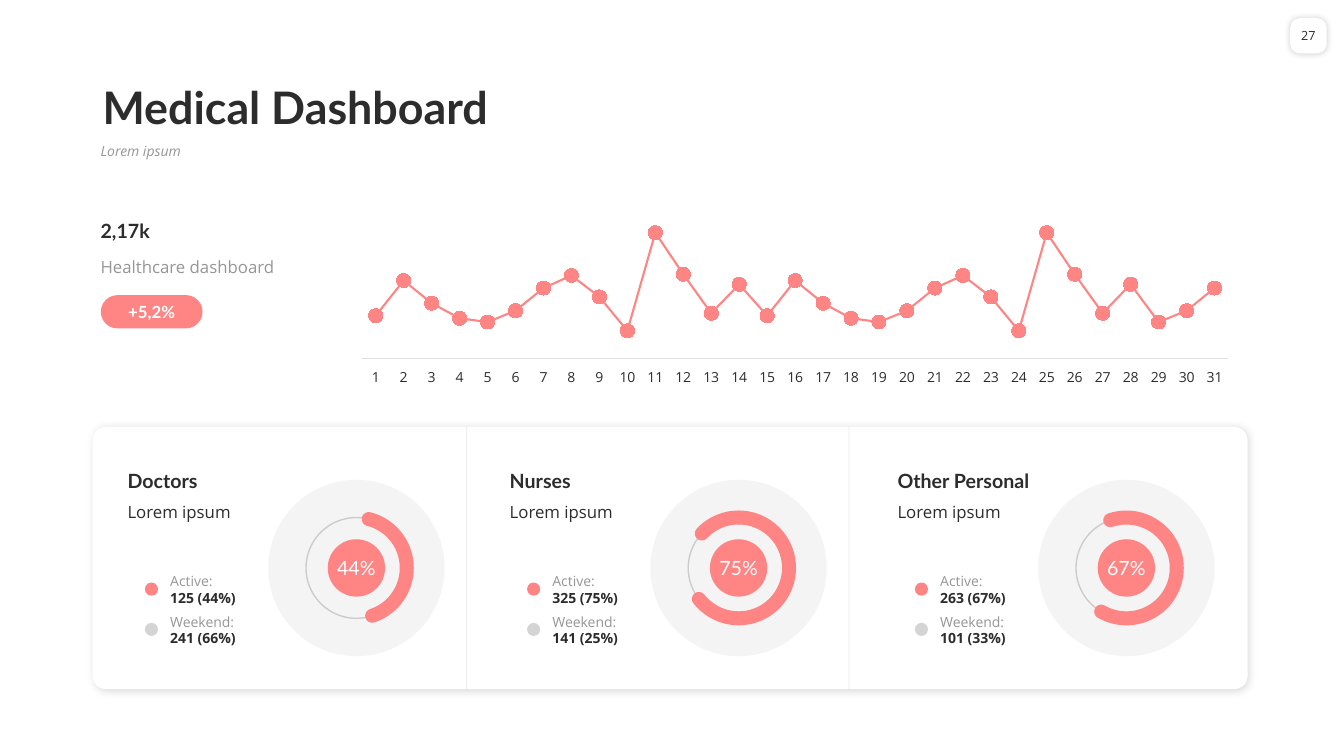
"""Build a medical dashboard slide with a line chart and three staff gauges."""
from lxml.etree import SubElement
from pptx import Presentation
from pptx.chart.data import CategoryChartData
from pptx.dml.color import RGBColor
from pptx.enum.chart import XL_CHART_TYPE, XL_MARKER_STYLE, XL_TICK_LABEL_POSITION, XL_TICK_MARK
from pptx.enum.shapes import MSO_CONNECTOR, MSO_SHAPE
from pptx.enum.text import MSO_ANCHOR, PP_ALIGN
from pptx.oxml.ns import qn
from pptx.util import Pt

ARC, OVAL, ROUND = MSO_SHAPE.ARC, MSO_SHAPE.OVAL, MSO_SHAPE.ROUNDED_RECTANGLE
STRAIGHT = MSO_CONNECTOR.STRAIGHT
TOP, MIDDLE, BOTTOM = MSO_ANCHOR.TOP, MSO_ANCHOR.MIDDLE, MSO_ANCHOR.BOTTOM
LEFT, CENTER = PP_ALIGN.LEFT, PP_ALIGN.CENTER
LINES, CIRCLE = XL_CHART_TYPE.LINE_MARKERS_STACKED, XL_MARKER_STYLE.CIRCLE
NO_TICK, LOW = XL_TICK_MARK.NONE, XL_TICK_LABEL_POSITION.LOW
HEAD, BODY = "Lato", "Open Sans"
DARK, GREY, CORAL, WHITE, RULE = "2C2C2C", "969696", "FF8585", "FFFFFF", "DFDFDF"

DAILY = [34, 62, 44, 32, 29, 38, 56, 66, 49, 22, 100, 67, 36, 59,
         34, 62, 44, 32, 29, 38, 56, 66, 49, 22, 100, 67, 36, 59, 29, 38, 56]
STAFF = [
    (0, "Doctors", "44%", "125 (44%)", "241 (66%)", 284.17, 71.77),
    (273, "Nurses", "75%", "325 (75%)", "141 (25%)", 223.06, 142.01),
    (550, "Other Personal", "67%", "263 (67%)", "101 (33%)", 251.29, 120.02),
]


def paint(fill, color):
    fill.solid()
    fill.fore_color.rgb = RGBColor.from_string(color)


def fade(shape, alpha):
    for node in shape._element.spPr.iter(qn("a:srgbClr")):
        SubElement(node, qn("a:alpha"), val=str(alpha * 1000))


def style(font, size, color=DARK, face=BODY, bold=False, italic=False):
    font.size, font.name, font.bold, font.italic = Pt(size), face, bold, italic
    paint(font.fill, color)


def write(frame, text, align=LEFT, spacing=None, **look):
    para = frame.paragraphs[0]
    if para.runs:
        para = frame.add_paragraph()
    para.alignment = align
    if spacing:
        para.line_spacing = spacing
    run = para.add_run()
    run.text = text
    style(run.font, **look)


class Board:
    def __init__(self, deck):
        self.shapes = deck.slides.add_slide(deck.slide_layouts[6]).shapes

    def text(self, x, y, w, h, text, anchor=TOP, **look):
        frame = self.shapes.add_textbox(Pt(x), Pt(y), Pt(w), Pt(h)).text_frame
        frame.word_wrap = True
        frame.vertical_anchor = anchor
        write(frame, text, **look)
        return frame

    def shape(self, kind, x, y, w, h, fill=None, line=None, width=1, alpha=None, adjust=()):
        shape = self.shapes.add_shape(kind, Pt(x), Pt(y), Pt(w), Pt(h))
        shape.shadow.inherit = False
        for spot, value in enumerate(adjust):
            shape.adjustments[spot] = value
        if fill:
            paint(shape.fill, fill)
        else:
            shape.fill.background()
        if line:
            paint(shape.line.fill, line)
            shape.line.width = Pt(width)
        else:
            shape.line.fill.background()
        if alpha:
            fade(shape, alpha)
        return shape

    def disc(self, x, y, size, **look):
        return self.shape(OVAL, x - size / 2, y - size / 2, size, size, **look)

    def label(self, shape, text, wrap=False, **look):
        frame = shape.text_frame
        frame.word_wrap = wrap
        frame.vertical_anchor = MIDDLE
        frame.margin_left = frame.margin_right = 0
        if wrap:
            frame.margin_top = frame.margin_bottom = 0
        write(frame, text, align=CENTER, **look)

    def shade(self, shape, alpha, blur, gap):
        effect = shape._element.spPr.find(qn("a:effectLst"))
        outer = SubElement(effect, qn("a:outerShdw"), blurRad=str(Pt(blur)),
                           dist=str(Pt(gap)), dir="2700000", algn="tl", rotWithShape="0")
        color = SubElement(outer, qn("a:srgbClr"), val="000000")
        SubElement(color, qn("a:alpha"), val=str(alpha * 1000))

    def rule(self, x, top, end):
        line = self.shapes.add_connector(STRAIGHT, Pt(x), Pt(end), Pt(x), Pt(top))
        paint(line.line.fill, DARK)
        line.line.width = Pt(0.5)
        fade(line, 10)
        SubElement(line._element.spPr, qn("a:effectLst"))

    def chart(self, x, y, w, h, values):
        data = CategoryChartData()
        data.categories = [str(day + 1) for day in range(len(values))]
        data.add_series("Series 1", values)
        chart = self.shapes.add_chart(LINES, Pt(x), Pt(y), Pt(w), Pt(h), data).chart
        chart.has_legend = chart.has_title = False
        style(chart.font, 10)
        plot = chart.plots[0]
        plot.vary_by_categories = False
        series = plot.series[0]
        series.smooth = False
        paint(series.format.line.fill, CORAL)
        series.format.line.width = Pt(1.5)
        series.marker.style, series.marker.size = CIRCLE, 10
        paint(series.marker.format.fill, CORAL)
        paint(series.marker.format.line.fill, CORAL)
        days, scale = chart.category_axis, chart.value_axis
        days.major_tick_mark = days.minor_tick_mark = NO_TICK
        days.tick_label_position = LOW
        style(days.tick_labels.font, 10)
        paint(days.format.line.fill, RULE)
        days.format.line.width = Pt(0.75)
        scale.visible = scale.has_major_gridlines = False
        scale.minimum_scale, scale.maximum_scale = 0, 120
        area = chart._chartSpace.chart.plotArea
        for old in area.findall(qn("c:layout")):
            area.remove(old)
        layout = SubElement(area, qn("c:layout"))
        area.insert(0, layout)
        manual = SubElement(layout, qn("c:manualLayout"))
        for tag, val in [("layoutTarget", "inner"), ("xMode", "edge"), ("yMode", "edge"),
                         ("x", "0.02"), ("y", "0"), ("w", "0.96"), ("h", "0.85")]:
            SubElement(manual, qn("c:" + tag), val=val)

    def gauge(self, x, name, share, active, rest, start, end):
        mid, level = x + 254.6, 405.7
        self.disc(mid, level, 126, fill=DARK, alpha=5)
        self.disc(mid, level, 72, line=DARK, alpha=20)
        self.text(x + 84, 330.5, 206, 24.5, name, anchor=BOTTOM, size=14, face=HEAD, bold=True)
        self.text(x + 84, 355, 206, 21.6, "Lorem ipsum", size=12)
        core = self.disc(mid, level, 41, fill=CORAL)
        self.label(core, share, size=14, face=HEAD, color=WHITE)
        arc = self.shape(ARC, mid - 36, level - 36, 72, 72, line=CORAL, width=10,
                         adjust=(start * 0.6, end * 0.6))
        arc._element.spPr.find(qn("a:ln")).set("cap", "rnd")
        keys = [("Active:", active, CORAL, None), ("Weekend:", rest, DARK, 20)]
        for row, (key, count, color, alpha) in enumerate(keys):
            y = 420.8 + row * 28.8
            self.disc(x + 108.2, y, 9.4, fill=color, alpha=alpha)
            frame = self.text(x + 114.5, y - 15.5, 85, 31.7, key, anchor=MIDDLE,
                              size=10, color=GREY)
            write(frame, count, size=10, bold=True)


def main():
    deck = Presentation()
    deck.slide_width, deck.slide_height = Pt(960), Pt(540)
    board = Board(deck)
    board.text(66.2, 41.8, 828, 57.6, "Medical Dashboard", anchor=BOTTOM,
               size=32, face=HEAD, bold=True, spacing=0.9)
    board.text(64.8, 99.4, 829, 26, "Lorem ipsum", size=10, color=GREY,
               italic=True, spacing=0.9)
    page = board.shape(ROUND, 921.6, 13, 26, 25.2, fill=WHITE, adjust=(0.27,))
    board.shade(page, 20, 5, 0)
    board.label(page, "27", size=9)
    board.chart(245.5, 148.3, 645, 128.2, DAILY)
    board.text(64.8, 152, 153.4, 24.5, "2,17k", anchor=BOTTOM, size=14, face=HEAD, bold=True)
    board.text(64.8, 180, 153.4, 21.6, "Healthcare dashboard", size=12, color=GREY)
    pill = board.shape(ROUND, 72, 210.8, 72.7, 23.8, fill=CORAL, adjust=(0.5,))
    board.label(pill, "+5,2%", wrap=True, size=12, face=HEAD, color=WHITE, bold=True)
    panel = board.shape(ROUND, 66.2, 305, 825, 187.2, fill=WHITE, adjust=(0.05,))
    board.shade(panel, 15, 6, 1)
    for person in STAFF:
        board.gauge(*person)
    for x in (333.4, 606.4):
        board.rule(x, 305, 492.2)
    deck.save("out.pptx")


if __name__ == "__main__":
    main()
